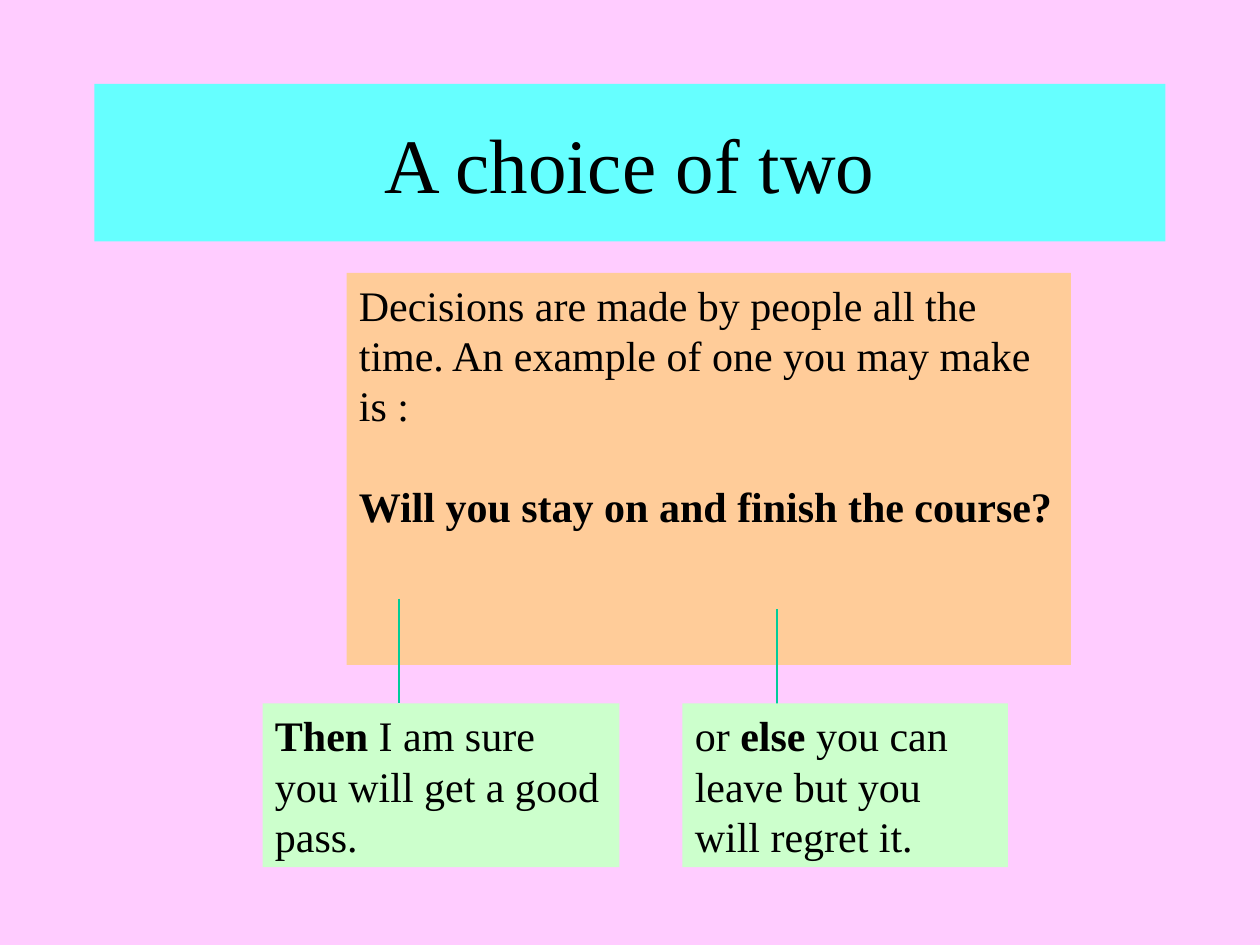
"""Build the 'A choice of two' decision slide."""
import pptx
import pptx.dml.color
import pptx.enum.shapes
import pptx.enum.text
import pptx.oxml
import pptx.util

Pt = pptx.util.Pt

TITLE = [[("A choice of two", False)]]
DECISION = [
    [("Decisions are made by people all the time. An example of one you may make is :", False)],
    [("Will you stay on and finish the course?", True)],
]
THEN = [[("Then", True), (" I am sure you will get a good pass.", False)]]
ELSE = [[("or", False), (" else ", True), ("you can leave but you will regret it.", False)]]

THEME = {
    "font": "Times New Roman",
    "title_size": 44,
    "body_size": 24,
    "paragraph_gap": 28.8,
    "text": "000000",
    "background": "FFCCFF",
    "title": "66FFFF",
    "decision": "FFCC99",
    "outcome": "CCFFCC",
    "line": "00CC99",
}

OUTCOME_TOP, OUTCOME_HEIGHT = 402, 93.6
BRANCH_LENGTH = 60
OUTCOMES = [
    {"text": THEN, "left": 150, "width": 204, "branch": (228, 342)},
    {"text": ELSE, "left": 390, "width": 186, "branch": (444, 348)},
]


def color(name):
    return pptx.dml.color.RGBColor.from_string(THEME[name])


def add_panel(slide, box, fill, paragraphs, size="body_size", centered=False):
    shape = slide.shapes.add_shape(
        pptx.enum.shapes.MSO_SHAPE.RECTANGLE, *(Pt(length) for length in box))
    shape.shadow.inherit = False
    shape.fill.solid()
    shape.fill.fore_color.rgb = color(fill)
    shape.line.fill.background()
    text_frame = shape.text_frame
    text_frame.word_wrap = True
    anchors = pptx.enum.text.MSO_ANCHOR
    text_frame.vertical_anchor = anchors.MIDDLE if centered else anchors.TOP
    alignments = pptx.enum.text.PP_ALIGN
    for index, runs in enumerate(paragraphs):
        paragraph = text_frame.add_paragraph() if index else text_frame.paragraphs[0]
        paragraph.alignment = alignments.CENTER if centered else alignments.LEFT
        if index:
            paragraph.space_before = Pt(THEME["paragraph_gap"])
        for words, bold in runs:
            run = paragraph.add_run()
            run.text = words
            run.font.name = THEME["font"]
            run.font.size = Pt(THEME[size])
            run.font.bold = bold
            run.font.color.rgb = color("text")


def add_branch(slide, left, top):
    connector = slide.shapes.add_connector(
        pptx.enum.shapes.MSO_CONNECTOR.STRAIGHT,
        Pt(left), Pt(top), Pt(left), Pt(top + BRANCH_LENGTH))
    connector.line.color.rgb = color("line")
    connector.line.width = Pt(0.75)
    properties = connector._element.spPr
    properties.append(properties.makeelement(pptx.oxml.ns.qn("a:effectLst"), {}))


def main():
    presentation = pptx.Presentation()
    presentation.slide_width, presentation.slide_height = Pt(720), Pt(540)
    slide = presentation.slides.add_slide(presentation.slide_layouts[6])
    slide.background.fill.solid()
    slide.background.fill.fore_color.rgb = color("background")
    add_panel(slide, (54, 48, 612, 90), "title", TITLE, "title_size", centered=True)
    add_panel(slide, (198, 156, 414, 224), "decision", DECISION)
    for outcome in OUTCOMES:
        add_branch(slide, *outcome["branch"])
        box = (outcome["left"], OUTCOME_TOP, outcome["width"], OUTCOME_HEIGHT)
        add_panel(slide, box, "outcome", outcome["text"])
    presentation.save("out.pptx")


if __name__ == "__main__":
    main()
